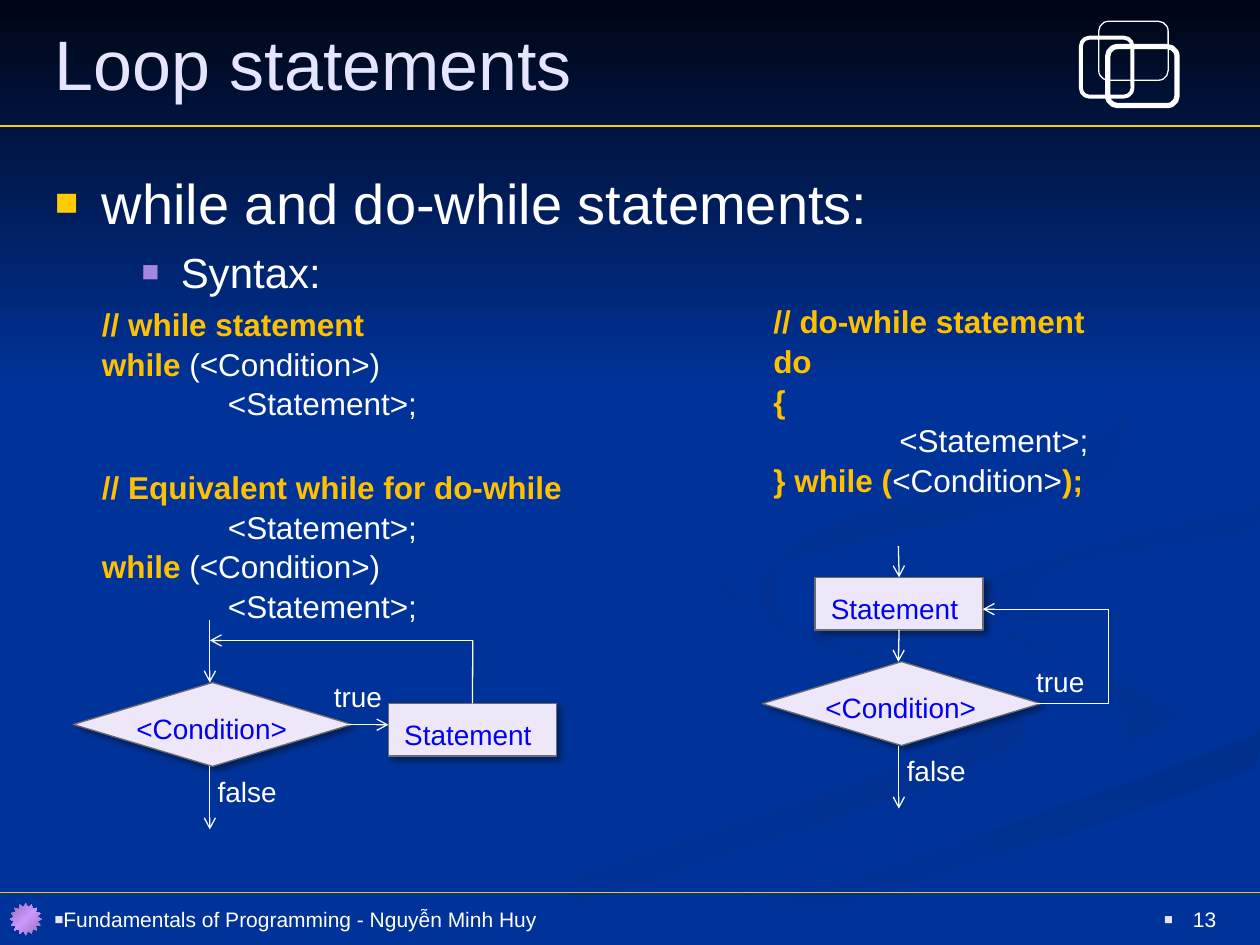
"""Build the slide on while and do-while loop statements."""
import dataclasses
from typing import Any, Optional

import pptx
import pptx.dml.color
import pptx.enum.shapes
import pptx.enum.text
import pptx.oxml
import pptx.oxml.ns
import pptx.util

Cm = pptx.util.Cm
Pt = pptx.util.Pt
SHAPE = pptx.enum.shapes.MSO_SHAPE
ALIGN = pptx.enum.text.PP_ALIGN
ANCHOR = pptx.enum.text.MSO_ANCHOR
NAVY, WHITE, GOLD, AMBER = "003399", "FFFFFF", "FFCC00", "FFC000"
LAVENDER, INK = "E5E5FF", "0000F2"
NAMESPACE = pptx.oxml.ns.nsdecls("a")
CURVE_STEPS = 5


@dataclasses.dataclass
class Bullet:
    color: str
    left: float = 0
    hanging: float = 0


@dataclasses.dataclass
class Swirl:
    stops: list[str]
    angle: int
    points: list[tuple[float, float]]


@dataclasses.dataclass
class Arrow:
    start: tuple[float, float]
    end: tuple[float, float]
    head: bool = True
    start_side: Optional[int] = None
    end_side: Optional[int] = None


@dataclasses.dataclass
class Flowchart:
    diamond: tuple[float, float]
    box: tuple[float, float]
    true_label: tuple[float, float]
    arrows: list[Arrow]


FLOWCHARTS = [
    Flowchart((1.48, 13.76), (7.83, 14.18), (6.48, 13.55), [
        Arrow((4.23, 12.49), (4.23, 13.76)),
        Arrow((9.53, 14.18), (9.53, 12.91), False, start_side=0),
        Arrow((6.99, 14.61), (7.83, 14.61)),
        Arrow((9.53, 12.91), (4.23, 12.91))]),
    Flowchart((15.37, 13.34), (16.43, 11.64), (20.64, 13.23), [
        Arrow((18.11, 11.01), (18.11, 11.64), end_side=0),
        Arrow((22.35, 14.18), (22.35, 12.28), False),
        Arrow((22.35, 12.28), (19.81, 12.28)),
        Arrow((18.11, 12.7), (18.11, 13.34), start_side=2),
        Arrow((20.88, 14.18), (22.35, 14.18), False)]),
]
SWIRLS = [
    Swirl([NAVY, "003193"], 0, [(19.8, 14), (15.9, 12.8), (14.6, 11.7), (15, 12.3), (19.6, 14),
                                (18.5, 15.3), (7.6, 19), (9.2, 19), (19.8, 15.4)]),
    Swirl([NAVY, "003193"], 45, [(23.9, 14.4), (18.9, 12.4), (18.4, 11.8), (22.3, 13.8), (22.7, 15.4)]),
    Swirl(["002F8C", NAVY], 90, [(12.8, 19), (14.5, 19), (25.3, 15.5), (25.3, 14.8), (16.8, 17.3)]),
    Swirl([NAVY, NAVY], 0, [(18.4, 11.8), (23.9, 14.4), (12.1, 19), (13.2, 19), (25.3, 14.8),
                            (25.3, 13.7), (19.9, 11.7), (25.3, 10.2), (25.3, 9.9)]),
    Swirl(["003091", NAVY], 45, [(19.8, 11.7), (21, 12.6), (21.2, 11.5), (25.3, 10.7), (25.3, 10.2)]),
    Swirl(["002F8E", NAVY], 45, [(17.4, 10.9), (22.3, 9.6), (22.1, 7.2), (19.4, 5.9), (22.6, 8.5),
                                 (16.2, 10.8), (15.8, 12.7), (15.3, 11.6)]),
]


def rgb(color: str) -> pptx.dml.color.RGBColor:
    return pptx.dml.color.RGBColor.from_string(color)


def set_format(target: Any, values: dict[str, Any]) -> None:
    for name, value in values.items():
        setattr(target, name, value)


def lengths(*values: float) -> list[int]:
    return [Cm(value) for value in values]


def shift(point: tuple[float, float], right: float, down: float) -> tuple[float, float]:
    return point[0] + right, point[1] + down


def smooth(points: list[tuple[float, float]]) -> list[list[int]]:
    curve = []
    for index in range(len(points)):
        corners = [points[(index + offset) % len(points)] for offset in (-1, 0, 1, 2)]
        for step in range(CURVE_STEPS):
            t = step / CURVE_STEPS
            curve.append(lengths(*(
                b + t * (c - a) / 2 + t ** 2 * (a - 2.5 * b + 2 * c - d / 2)
                + t ** 3 * (3 * (b - c) + d - a) / 2
                for a, b, c, d in zip(*corners))))
    return [[min(max(x, 0), Cm(25.4)), min(y, Cm(19.05))] for x, y in curve]


def set_gradient(shape: Any, stops: list[str], angle: int) -> None:
    shape.fill.gradient()
    shape.fill.gradient_angle = -angle % 360
    stop_list = next(shape.element.iter(pptx.oxml.ns.qn("a:gsLst")))
    stop_list[:] = [
        pptx.oxml.parse_xml(f'<a:gs {NAMESPACE} pos="{100000 * index // (len(stops) - 1)}">'
                            f'<a:srgbClr val="{color}"/></a:gs>')
        for index, color in enumerate(stops)]


def add_preset(slide: Any, kind: Any, box: tuple[float, ...], line: str = "", width: float = 0.75) -> Any:
    shape = slide.shapes.add_shape(kind, *lengths(*box))
    shape.shadow.inherit = False
    shape.fill.background()
    if line:
        shape.line.color.rgb = rgb(line)
        shape.line.width = Pt(width)
    else:
        shape.line.fill.background()
    return shape


def add_node(slide: Any, kind: Any, box: tuple[float, ...]) -> Any:
    shape = add_preset(slide, kind, box, "6D6D6D")
    shape.fill.solid()
    shape.fill.fore_color.rgb = rgb("EEE7F9")
    next(shape.element.iter(pptx.oxml.ns.qn("a:effectLst"))).append(pptx.oxml.parse_xml(
        f'<a:outerShdw {NAMESPACE} blurRad="{Pt(4)}" dist="{Pt(3)}" dir="2700000">'
        '<a:srgbClr val="000000"><a:alpha val="40000"/></a:srgbClr></a:outerShdw>'))
    return shape


def add_line(slide: Any, arrow: Arrow, color: str = WHITE, box: Any = None) -> None:
    connector = slide.shapes.add_connector(
        pptx.enum.shapes.MSO_CONNECTOR.STRAIGHT, *lengths(*arrow.start, *arrow.end))
    if arrow.start_side is not None:
        connector.begin_connect(box, arrow.start_side)
    if arrow.end_side is not None:
        connector.end_connect(box, arrow.end_side)
    connector.line.color.rgb = rgb(color)
    connector.line.width = Pt(0.75)
    if arrow.head:
        line = next(connector.element.iter(pptx.oxml.ns.qn("a:ln")))
        line.append(pptx.oxml.parse_xml(f'<a:tailEnd {NAMESPACE} type="arrow"/>'))
    connector.element.spPr.append(pptx.oxml.parse_xml(f"<a:effectLst {NAMESPACE}/>"))


def write(paragraph: Any, lines: list[list[tuple[str, str]]], size: float,
          bullet: Optional[Bullet] = None, left: float = 0, **values: Any) -> None:
    properties = paragraph._p.get_or_add_pPr()
    margin, hanging = (bullet.left, bullet.hanging) if bullet else (left, 0)
    for name, value in {"marL": margin, "indent": -hanging, "defTabSz": 2.54}.items():
        properties.set(name, str(int(Cm(value))))
    marks = [f'<a:buClr {NAMESPACE}><a:srgbClr val="{bullet.color}"/></a:buClr>',
             f'<a:buSzPct {NAMESPACE} val="70000"/>', f'<a:buFont {NAMESPACE} typeface="Arial"/>',
             f'<a:buChar {NAMESPACE} char="■"/>'] if bullet else [f"<a:buNone {NAMESPACE}/>"]
    for mark in marks:
        properties.append(pptx.oxml.parse_xml(mark))
    set_format(paragraph, {"line_spacing": 1.05, "space_before": Pt(0), "alignment": ALIGN.LEFT} | values)
    for index, line in enumerate(lines):
        if index:
            paragraph.add_line_break()
        for text, color in line:
            run = paragraph.add_run()
            run.text = text
            set_format(run.font, {"name": "Arial", "size": Pt(size), "bold": color == AMBER})
            run.font.color.rgb = rgb(color)


def add_text(slide: Any, box: tuple[float, ...], lines: list[list[tuple[str, str]]], size: float,
             frame: dict[str, Any], **values: Any) -> None:
    text_frame = slide.shapes.add_textbox(*lengths(*box)).text_frame
    set_format(text_frame, {"word_wrap": True} | frame)
    write(text_frame.paragraphs[0], lines, size, **values)


def draw_backdrop(slide: Any) -> None:
    slide.background.fill.solid()
    slide.background.fill.fore_color.rgb = rgb(NAVY)
    for swirl in SWIRLS:
        outline = smooth(swirl.points)
        builder = slide.shapes.build_freeform(*outline[0])
        builder.add_line_segments(outline[1:], close=True)
        shape = builder.convert_to_shape()
        shape.shadow.inherit = False
        shape.line.fill.background()
        set_gradient(shape, swirl.stops, swirl.angle)
    set_gradient(add_preset(slide, SHAPE.RECTANGLE, (0, 0, 25.4, 7.82)), ["000514", NAVY], 90)
    for top in (2.54, 17.99):
        add_line(slide, Arrow((0, top), (25.4, top), False), GOLD)
    for left, top, breadth, width in ((21.79, 0.76, 1.04, 2.25), (22.15, 0.43, 1.4, 0.75), (22.33, 0.94, 1.4, 3)):
        add_preset(slide, SHAPE.FLOWCHART_ALTERNATE_PROCESS, (left, top, breadth, 1.19), WHITE, width)
    star = add_preset(slide, SHAPE.STAR_16_POINT, (0.2, 18.21, 0.64, 0.64))
    star.adjustments[0] = 0.375
    set_gradient(star, ["926DB6", "CC99FF", "926DB6"], 45)


def fill_placeholder(shape: Any, box: tuple[float, ...], anchor: Any) -> Any:
    set_format(shape, dict(zip(("left", "top", "width", "height"), lengths(*box))))
    set_format(shape.text_frame, {"vertical_anchor": anchor, "word_wrap": True,
                                  "auto_size": pptx.enum.text.MSO_AUTO_SIZE.NONE})
    shape.element.getparent().append(shape.element)
    return shape.text_frame


def draw_text(slide: Any) -> None:
    title = fill_placeholder(slide.shapes.title, (0.85, 0, 23.92, 2.54), ANCHOR.MIDDLE)
    write(title.paragraphs[0], [[("Loop statements", LAVENDER)]], 40, line_spacing=1.0)
    body = fill_placeholder(slide.placeholders[1], (0.85, 3.2, 23.92, 14.4), ANCHOR.TOP)
    statement = [("\t<Statement>;", WHITE)]
    loop = [[("while", AMBER), (" (<Condition>)", WHITE)], statement]
    write(body.paragraphs[0], [[("while and do-while statements:", WHITE)]], 32, Bullet(GOLD, 0.95, 0.95))
    write(body.add_paragraph(), [[("Syntax:", WHITE)]], 24, Bullet("A886E0", 2.54, 0.79),
          level=1, space_before=Pt(4.8))
    write(body.add_paragraph(), [[("// while statement", AMBER)], *loop], 18, left=0.95, space_before=Pt(3.6))
    write(body.add_paragraph(), [[("// Equivalent while for do-while", AMBER)], statement, *loop], 18,
          left=0.95, space_before=Pt(25))
    add_text(slide, (14.39, 5.93, 9.31, 4.66),
             [[("// do-while statement", AMBER)], [("do", AMBER)], [("{", AMBER)], statement,
              [("} while (", AMBER), ("<Condition>", WHITE), (");", AMBER)]], 18, {}, left=0.95)
    middle = {"vertical_anchor": ANCHOR.MIDDLE}
    add_text(slide, (18.84, 17.99, 5.93, 1.06), [[("13", WHITE)]], 12, middle,
             bullet=Bullet(LAVENDER, 0.58, 0.58), alignment=ALIGN.RIGHT)
    add_text(slide, (0.85, 17.99, 17.57, 1.06), [[("Fundamentals of Programming - Nguyễn Minh Huy", WHITE)]],
             12, middle, bullet=Bullet(LAVENDER))


def draw_flowchart(slide: Any, chart: Flowchart) -> None:
    add_node(slide, SHAPE.DIAMOND, (*chart.diamond, 5.61, 1.69))
    box = add_node(slide, SHAPE.RECTANGLE, (*chart.box, 3.39, 1.06))
    leave = Arrow(shift(chart.diamond, 2.75, 1.69), shift(chart.diamond, 2.75, 2.96))
    for arrow in [leave, *chart.arrows]:
        add_line(slide, arrow, box=box)
    for text, position, width, color in (
            ("<Condition>", shift(chart.diamond, 1.02, 0.42), 3.58, INK),
            ("Statement", shift(chart.box, 0.07, 0.13), 3.12, INK),
            ("true", chart.true_label, 1.5, WHITE),
            ("false", shift(chart.diamond, 2.66, 1.69), 1.73, WHITE)):
        add_text(slide, (*position, width, 0.94), [[(text, color)]], 16, {"word_wrap": False})


def main() -> None:
    presentation = pptx.Presentation()
    set_format(presentation, {"slide_width": Cm(25.4), "slide_height": Cm(19.05)})
    slide = presentation.slides.add_slide(presentation.slide_layouts[1])
    draw_backdrop(slide)
    draw_text(slide)
    for chart in FLOWCHARTS:
        draw_flowchart(slide, chart)
    presentation.save("out.pptx")


if __name__ == "__main__":
    main()
